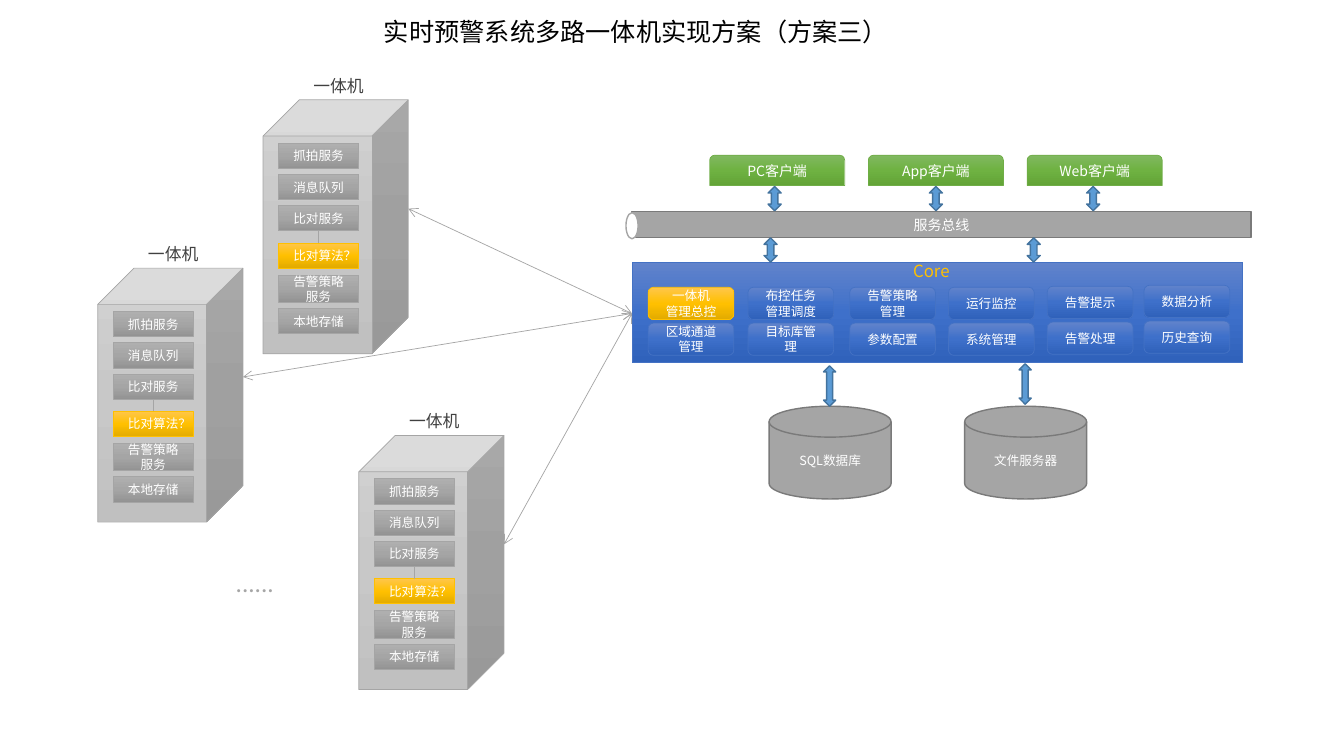
from copy import deepcopy

from pptx import Presentation
from pptx.dml.color import RGBColor
from pptx.enum.shapes import MSO_CONNECTOR as CONN, MSO_SHAPE as SHAPE
from pptx.enum.text import MSO_ANCHOR as ANCHOR, PP_ALIGN as ALIGN
from pptx.oxml.ns import qn
from pptx.oxml.xmlchemy import OxmlElement
from pptx.util import Inches, Pt

CELL = 0.1  # inches per grid column and row
COLS, ROWS = 133.33, 75
FONT = "Noto Sans CJK SC"
COLORS = {
    "black": "000000", "white": "FFFFFF", "label": "404040", "dots": "A6A6A6",
    "gray": "A5A5A5", "gray_edge": "7A7A7A", "blue": "4472C4",
    "gold": "FFC000", "green": "70AD47", "arrow": "5B9BD5", "arrow_edge": "43739E",
}
# Top, middle and bottom of each vertical gradient
GRADIENTS = {
    "blue": ("6183CB", "3E70CA", "3062BB"),
    "gold": ("FFC64B", "FFC000", "E3AB00"),
    "green": ("81B861", "6FB242", "62A336"),
    "gray": ("AFAFAF", "A5A5A5", "939393"),
    "cabinet": ("D2D2D2", "C8C8C8", "C0C0C0"),
}
SERVERS = [(26.1, 9.9), (9.7, 26.6), (35.6, 43.2)]
# Text, row within the server, height, gradient
SERVICES = [
    ("抓拍服务", 4.3, 2.5, "gray"), ("消息队列", 7.4, 2.5, "gray"),
    ("比对服务", 10.5, 2.5, "gray"), ("比对算法？", 14.2, 2.5, "gold"),
    ("告警策略服务", 17.4, 2.7, "gray"), ("本地存储", 20.7, 2.5, "gray"),
]
# Column, top row, upper and lower module
MODULES = [
    (64.3, 28.5, "一体机\n管理总控", "区域通道管理"),
    (74.2, 28.5, "布控任务管理调度", "目标库管理"),
    (84.3, 28.5, "告警策略管理", "参数配置"),
    (94.1, 28.5, "运行监控", "系统管理"),
    (103.9, 28.4, "告警提示", "告警处理"),
    (113.5, 28.3, "数据分析", "历史查询"),
]
HUB = (62.7, 31.1)


def cells(*values):
    return [Inches(v * CELL) for v in values]


def rgb(name):
    return RGBColor.from_string(COLORS[name])


def write(tf, text, size, color, align=ALIGN.CENTER, font=FONT):
    tf.text = text
    for p in tf.paragraphs:
        p.alignment = align
        p.font.size, p.font.name = Pt(size), font
        p.font.color.rgb = rgb(color)
        for r in p.runs:
            ea = OxmlElement("a:ea")
            ea.set("typeface", font)
            r.font._element.append(ea)


def add_label(slide, box, text, size, color, align=ALIGN.LEFT, font=FONT, wrap=True):
    tf = slide.shapes.add_textbox(*cells(*box)).text_frame
    tf.word_wrap = wrap
    write(tf, text, size, color, align, font)


def fill_gradient(sp, colors):
    sp.fill.gradient()
    sp.fill.gradient_angle = 270
    stop_list = sp._element.spPr.find(".//" + qn("a:gsLst"))
    stop_list.append(deepcopy(stop_list[0]))
    for i, (stop, color) in enumerate(zip(sp.fill.gradient_stops, colors)):
        stop.position = i / 2
        stop.color.rgb = RGBColor.from_string(color)


def add_block(slide, kind, box, fill, edge, weight=1, text="", size=9, gradient=False):
    sp = slide.shapes.add_shape(kind, *cells(*box))
    sp.shadow.inherit = False
    if gradient:
        fill_gradient(sp, GRADIENTS[fill])
    else:
        sp.fill.solid()
        sp.fill.fore_color.rgb = rgb(fill)
    sp.line.color.rgb, sp.line.width = rgb(edge), Pt(weight)
    if text:
        sp.text_frame.vertical_anchor = ANCHOR.MIDDLE
        write(sp.text_frame, text, size, "white")


def add_glossy(slide, kind, box, color, text="", size=9):
    add_block(slide, kind, box, color, color, 0.5, text, size, gradient=True)


def add_link(slide, start, end, arrows=False):
    line = slide.shapes.add_connector(CONN.STRAIGHT, *cells(*start, *end))
    line.line.color.rgb, line.line.width = rgb("gray"), Pt(0.5)
    if arrows:
        for tag in ("a:headEnd", "a:tailEnd"):
            tip = OxmlElement(tag)
            tip.set("type", "arrow")
            line.line._get_or_add_ln().append(tip)
    line._element.spPr.append(OxmlElement("a:effectLst"))


def add_double_arrow(slide, x, y, w=1.3, h=2.4):
    add_block(slide, SHAPE.UP_DOWN_ARROW, (x, y, w, h), "arrow", "arrow_edge")


def add_server(slide, x, y):
    add_block(slide, SHAPE.CUBE, (x, y, 14.4, 25.2), "cabinet", "gray", 0.5, gradient=True)
    for text, row, h, color in SERVICES:
        add_glossy(slide, SHAPE.RECTANGLE, (x + 1.5, y + row, 8, h), color, text)
    add_link(slide, (x + 5.5, y + 14.2), (x + 5.5, y + 13))
    add_label(slide, (x + 4, y - 2.9, 7.6, 3), "一体机", 12, "label")


def add_core(slide):
    add_glossy(slide, SHAPE.RECTANGLE, (62.7, 26, 60.6, 10), "blue")
    for col, (x, y, *names) in enumerate(MODULES):
        for row, name in enumerate(names):
            color = "gold" if col == row == 0 else "blue"
            add_glossy(slide, SHAPE.ROUNDED_RECTANGLE, (x, y + 3.55 * row, 8.5, 3.2), color, name)
    add_label(slide, (89.6, 25.4, 7.6, 3), "Core", 12, "gold")


def add_clients_and_bus(slide):
    for i, name in enumerate(("PC", "App", "Web")):
        add_glossy(slide, SHAPE.ROUND_2_SAME_RECTANGLE, (70.4 + 15.75 * i, 15.4, 13.4, 3),
                   "green", name + "客户端", 10)
    add_block(slide, SHAPE.RECTANGLE, (62.7, 21, 61.4, 2.6), "gray", "gray_edge",
              text="服务总线", size=10)
    add_block(slide, SHAPE.OVAL, (62.1, 21.1, 1.2, 2.6), "white", "gray")
    for x in (76.2, 92.2, 107.8):
        add_double_arrow(slide, x, 18.5)
    for x in (75.8, 101.9):
        add_double_arrow(slide, x, 23.6)


def add_storage(slide):
    for x, y, name in ((76.3, 36.3, "SQL数据库"), (95.7, 36.1, "文件服务器")):
        add_block(slide, SHAPE.FLOWCHART_MAGNETIC_DISK, (x, 40.3, 12.1, 9.2),
                  "gray", "gray_edge", text=name)
        add_double_arrow(slide, x + 5.4, y, 1.2, 4)


def main():
    prs = Presentation()
    prs.slide_width, prs.slide_height = cells(COLS, ROWS)
    slide = prs.slides.add_slide(prs.slide_layouts[6])

    # Title
    add_label(slide, (37.1, 1.1, 52, 4), "实时预警系统多路一体机实现方案（方案三）",
              18, "black", ALIGN.CENTER, wrap=False)
    # Central platform
    add_core(slide)
    add_clients_and_bus(slide)
    add_storage(slide)
    # Servers, then their links to the platform
    for x, y in SERVERS:
        add_server(slide, x, y)
    add_label(slide, (22.4, 55.8, 6.6, 4), "......", 18, "dots", font="Calibri")
    for x, y in SERVERS:
        add_link(slide, (x + 14.4, y + 10.8), HUB, arrows=True)

    prs.save("out.pptx")


main()
